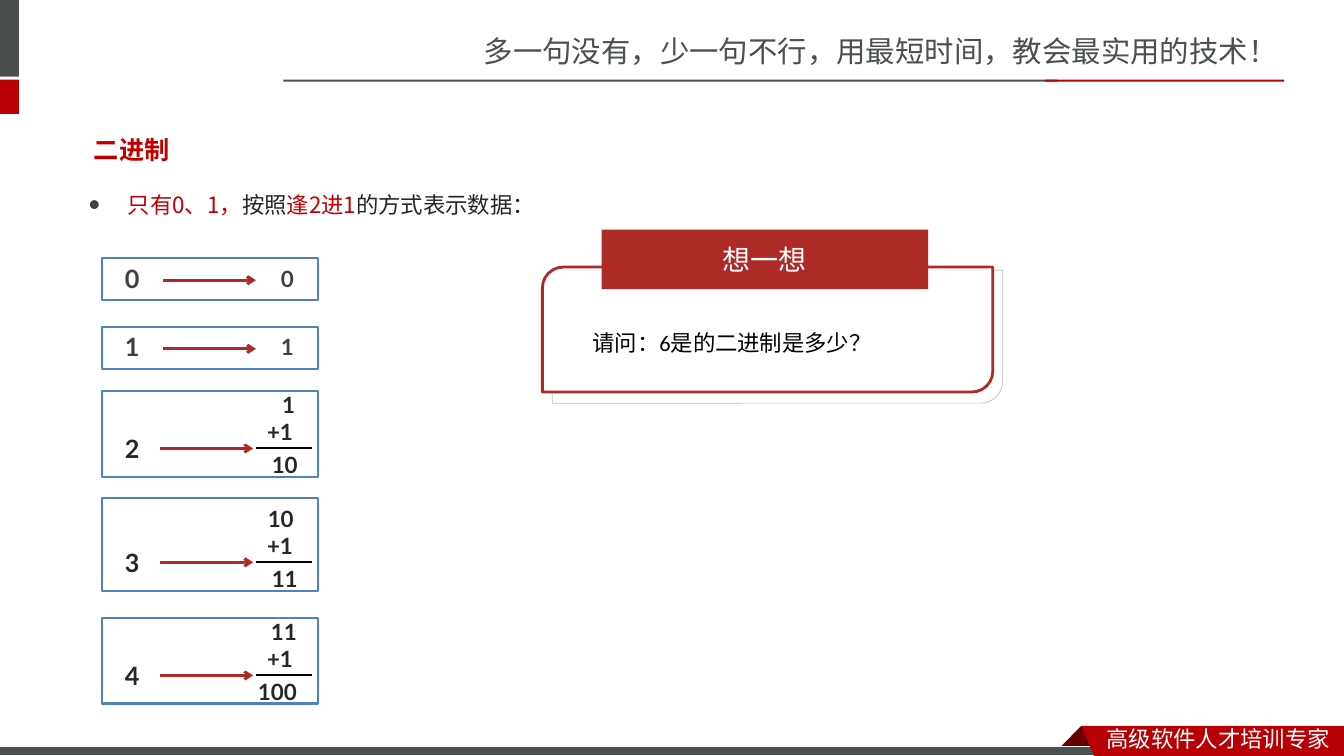
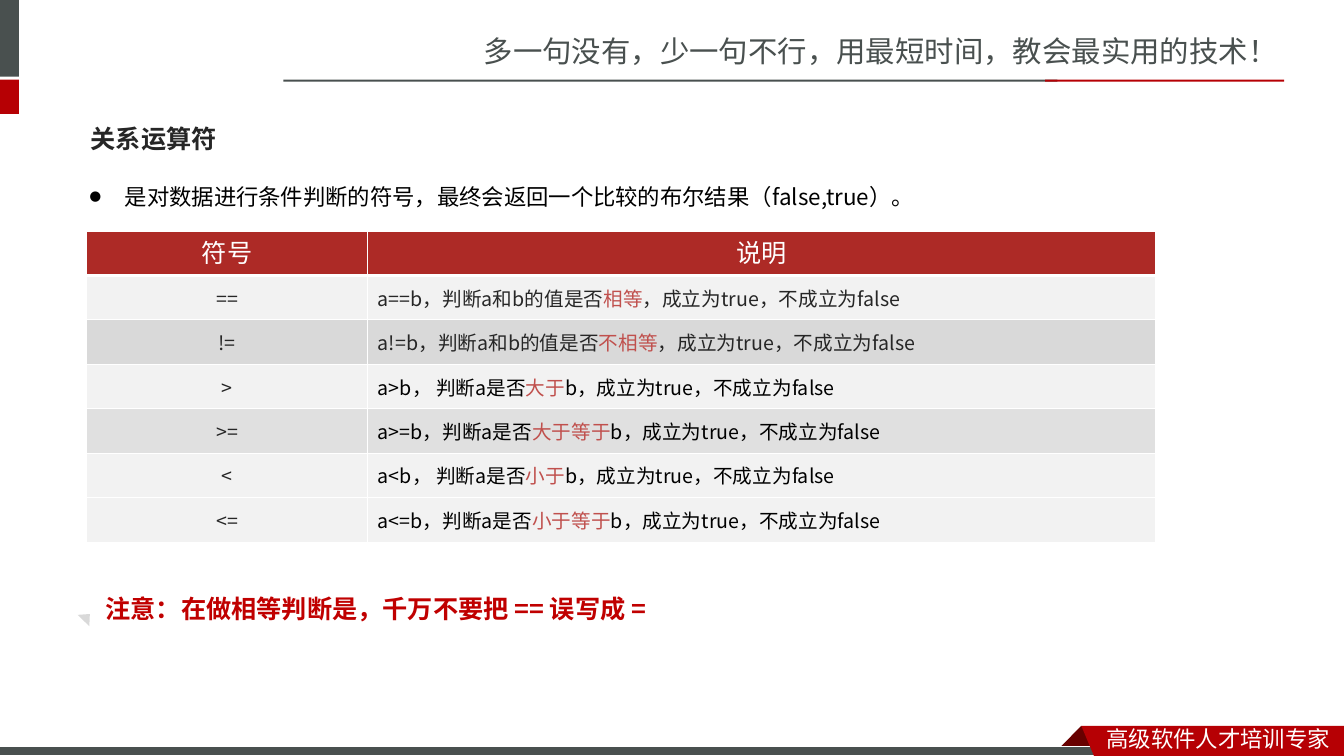
from lxml import etree
from pptx import Presentation
from pptx.dml.color import RGBColor
from pptx.enum.shapes import MSO_CONNECTOR, MSO_SHAPE
from pptx.enum.text import MSO_ANCHOR, MSO_AUTO_SIZE, PP_ALIGN
from pptx.oxml.ns import qn
from pptx.util import Cm, Pt

RECT = MSO_SHAPE.RECTANGLE
CARD = MSO_SHAPE.ROUND_2_DIAG_RECTANGLE
WEDGE = MSO_SHAPE.ISOSCELES_TRIANGLE
LINE = MSO_CONNECTOR.STRAIGHT
LEFT, CENTER = PP_ALIGN.LEFT, PP_ALIGN.CENTER
MIDDLE, TOP = MSO_ANCHOR.MIDDLE, MSO_ANCHOR.TOP

SLATE = RGBColor(0x49, 0x50, 0x4F)
RED = RGBColor(0xB6, 0x00, 0x04)
MAROON = RGBColor(0x68, 0x00, 0x00)
BRICK = RGBColor(0xAD, 0x2A, 0x26)
ALERT = RGBColor(0xC0, 0x00, 0x00)
CORAL = RGBColor(0xC0, 0x50, 0x4D)
BLUE = RGBColor(0x4F, 0x81, 0xBD)
BLACK = RGBColor(0x00, 0x00, 0x00)
INK = RGBColor(0x26, 0x26, 0x26)
GREY = RGBColor(0x40, 0x40, 0x40)
EDGE = RGBColor(0xBF, 0xBF, 0xBF)
MID = RGBColor(0xD9, 0xD9, 0xD9)
SOFT = RGBColor(0xE0, 0xE0, 0xE0)
PALE = RGBColor(0xF2, 0xF2, 0xF2)
WHITE = RGBColor(0xFF, 0xFF, 0xFF)

JP, SC = "Noto Sans CJK JP", "Noto Sans CJK SC"
LATO, BASIC = "Lato", "Calibri"


def write(par, runs, size, face, bold=False):
    """Add (text, colour) runs to a paragraph."""
    for text, color in runs:
        run = par.add_run()
        run.text = text
        font = run.font
        font.size, font.name, font.bold = Pt(size), face, bold
        font.color.rgb = color
        east = etree.SubElement(run._r.get_or_add_rPr(), qn("a:ea"))
        east.set("typeface", face if face in (JP, SC) else SC)


def put(slide, spot, form=None, fill=None, line=None, width=1):
    """Add a preset shape, or a wrapping text box when form is None."""
    place = [Cm(n) for n in spot]
    if form is None:
        item = slide.shapes.add_textbox(*place)
        item.text_frame.word_wrap = True
        return item
    item = slide.shapes.add_shape(form, *place)
    item.shadow.inherit = False
    if fill is None:
        item.fill.background()
    else:
        item.fill.solid()
        item.fill.fore_color.rgb = fill
    if line is None:
        item.line.fill.background()
    else:
        item.line.color.rgb = line
        item.line.width = Pt(width)
    return item


deck = Presentation()
deck.slide_width, deck.slide_height = Cm(33.87), Cm(19.05)
layout = deck.slide_layouts[1]
for holder in list(layout.placeholders)[2:]:
    holder.element.getparent().remove(holder.element)
binary = deck.slides.add_slide(layout)
compare = deck.slides.add_slide(layout)

# Shared frame, built once and moved to the layout
frame = []
for spot, fill in [
    ((0, 0, 0.48, 1.93), SLATE),
    ((0, 2.01, 0.48, 0.86), RED),
    ((7.14, 2.01, 19.51, 0.05), SLATE),
    ((26.34, 2.01, 6.02, 0.05), RED),
]:
    frame.append(put(binary, spot, RECT, fill))
for points, fill in [
    ([(27.25, 18.29), (27.81, 18.85), (26.7, 18.85)], MAROON),
    ([(27.25, 18.29), (33.87, 18.29), (33.87, 19.05), (27.57, 19.05)], RED),
]:
    start, *rest = [(Cm(x), Cm(y)) for x, y in points]
    pen = binary.shapes.build_freeform(*start)
    pen.add_line_segments(rest)
    fold = pen.convert_to_shape()
    fold.shadow.inherit = False
    fold.fill.solid()
    fold.fill.fore_color.rgb = fill
    fold.line.fill.background()
    frame.append(fold)
band = put(binary, (0, 18.82, 27.9, 0.23), RECT, SLATE, WHITE, 0.75)
frame.insert(-1, band)
for spot, text, size, color in [
    ((11.94, 0.71, 21.92, 1.14), "多一句没有，少一句不行，用最短时间，教会最实用的技术！", 21, SLATE),
    ((27.64, 18.16, 6.22, 0.94), "高级软件人才培训专家", 16, WHITE),
]:
    label = put(binary, spot)
    write(label.text_frame.paragraphs[0], [(text, color)], size, SC)
    frame.append(label)
for item in frame:
    layout.shapes.element.append(item.element)

# Titles and bullets
for slide, head, hue, head_at, lead, lead_at, indent, dot, scale in [
    (binary, "二进制", ALERT, (2.11, 3.05, 29.87, 1.45),
     [("只有0、1，", ALERT), ("按照", INK), ("逢2进1", ALERT), ("的方式表示数据：", INK)],
     (1.98, 4.34, 14.43, 1.45), 0.99, GREY, 85),
    (compare, "关系运算符", INK, (2.03, 2.77, 29.87, 1.45),
     [("是对数据进行条件判断的符号，最终会返回一个比较的布尔结果（false,true）。", BLACK)],
     (1.98, 4.14, 25.76, 1.19), 0.91, BLACK, 100),
]:
    title, body = slide.shapes.title, slide.placeholders[1]
    for holder, spot, anchor in [(title, head_at, MIDDLE), (body, lead_at, TOP)]:
        holder.left, holder.top, holder.width, holder.height = [Cm(n) for n in spot]
        area = holder.text_frame
        area.auto_size = MSO_AUTO_SIZE.NONE
        area.vertical_anchor = anchor
        area.paragraphs[0].alignment = LEFT
        area.paragraphs[0].space_before = Pt(0)
    write(title.text_frame.paragraphs[0], [(head, hue)], 18, JP, True)

    par = body.text_frame.paragraphs[0]
    props = par._p.get_or_add_pPr()
    props.set("marL", str(Cm(indent)))
    props.set("indent", str(-Cm(indent)))
    tint = etree.SubElement(props, qn("a:buClr"))
    etree.SubElement(tint, qn("a:srgbClr")).set("val", str(dot))
    etree.SubElement(props, qn("a:buSzPct")).set("val", str(scale * 1000))
    etree.SubElement(props, qn("a:buFont")).set("typeface", BASIC)
    etree.SubElement(props, qn("a:buChar")).set("char", "●")
    par.line_spacing = 1.5
    write(par, lead, 16, JP)

# Binary: question card
put(binary, (13.92, 6.81, 11.35, 3.35), CARD, WHITE, EDGE, 0.5)
put(binary, (13.67, 6.73, 11.35, 3.15), CARD, WHITE, BRICK, 2)
tab = put(binary, (15.16, 5.79, 8.23, 1.5), RECT, BRICK)
par = tab.text_frame.paragraphs[0]
par.alignment = CENTER
write(par, [("想一想", WHITE)], 20, LATO)
ask = put(binary, (14.68, 8.18, 10.31, 0.94))
write(ask.text_frame.paragraphs[0], [("请问：6是的二进制是多少？", BLACK)], 16, BASIC)

# Binary: each number and how it is reached
boxes, labels, lines = [], [], []
for digit, top in [("0", 6.5), ("1", 8.23)]:
    boxes.append((top, 1.07))
    labels += [(2.9, top, digit, 18, GREY), (6.83, top + 0.05, digit, 16, GREY)]
    lines.append((4.11, 6.45, top + 0.56, True))
for digit, top, high, base, first, first_x, total, total_x in [
    ("2", 9.86, 2.16, 11.3, "1", 6.86, "10", 6.6),
    ("3", 12.55, 2.34, 14.17, "10", 6.5, "11", 6.6),
    ("4", 15.57, 2.16, 17.02, "11", 6.58, "100", 6.25),
]:
    boxes.append((top, high))
    labels += [
        (2.9, base - 0.51, digit, 18, INK),
        (first_x, base - 1.57, first, 16, INK),
        (6.48, base - 0.89, "+1", 16, INK),
        (total_x, base - 0.05, total, 16, INK),
    ]
    lines += [(4.04, 6.38, base, True), (6.45, 7.87, base, False)]

for top, high in boxes:
    put(binary, (2.57, top, 5.44, high), RECT, line=BLUE, width=1.5)
for x, y, text, size, color in labels:
    label = put(binary, (x, y, 1.9, 0.94))
    write(label.text_frame.paragraphs[0], [(text, color)], size, LATO, True)
for x, end, y, arrow in lines:
    link = binary.shapes.add_connector(LINE, Cm(x), Cm(y), Cm(end), Cm(y))
    link.line.color.rgb = BRICK if arrow else BLACK
    link.line.width = Pt(2 if arrow else 1.5)
    if arrow:
        etree.SubElement(link.line._get_or_add_ln(), qn("a:tailEnd")).set("type", "arrow")
    etree.SubElement(link.element.spPr, qn("a:effectLst"))

# Compare: operator table
rows = [
    ("==", "a==b，判断a和b的值是否", "相等", "", INK, PALE),
    ("!=", "a!=b，判断a和b的值是否", "不相等", "", INK, MID),
    (">", "a>b， 判断a是否", "大于", "b", BLACK, PALE),
    (">=", "a>=b，判断a是否", "大于等于", "b", BLACK, SOFT),
    ("<", "a<b， 判断a是否", "小于", "b", BLACK, PALE),
    ("<=", "a<=b，判断a是否", "小于等于", "b", BLACK, PALE),
]
cells = [([("符号", WHITE)], [("说明", WHITE)], BRICK)]
for sign, rule, key, other, color, fill in rows:
    text = [(rule, color), (key, CORAL), (other + "，成立为true，不成立为false", color)]
    cells.append(([(sign, INK)], text, fill))

grid = compare.shapes.add_table(
    len(cells), 2, Cm(2.18), Cm(5.82), Cm(26.93), Cm(1.12 * len(cells))).table
grid.columns[0].width, grid.columns[1].width = Cm(7.09), Cm(19.84)
for r, (sign, text, fill) in enumerate(cells):
    for c, runs in enumerate((sign, text)):
        cell = grid.cell(r, c)
        cell.vertical_anchor = MIDDLE
        props = cell._tc.get_or_add_tcPr()
        for side in ("lnL", "lnR", "lnT", "lnB"):
            thick = (r, side) in ((0, "lnB"), (1, "lnT"))
            edge = etree.SubElement(props, qn("a:" + side), w=str(Pt(3 if thick else 1)))
            paint = etree.SubElement(edge, qn("a:solidFill"))
            etree.SubElement(paint, qn("a:srgbClr")).set("val", str(WHITE))
        cell.fill.solid()
        cell.fill.fore_color.rgb = fill
        par = cell.text_frame.paragraphs[0]
        par.alignment = CENTER if r == 0 or c == 0 else LEFT
        if r == 0:
            par.line_spacing = Pt(24)
        write(par, runs, 14 if r else 18, JP if r else LATO)

# Compare: warning
mark = put(compare, (1.98, 15.44, 0.41, 0.23), WEDGE, MID)
mark.rotation = 44.2
note = put(compare, (2.41, 14.45, 29.06, 1.3))
par = note.text_frame.paragraphs[0]
par.line_spacing = 1.5
write(par, [("注意：在做相等判断是，千万不要把 == 误写成 =", ALERT)], 18, JP, True)

deck.save("out.pptx")
